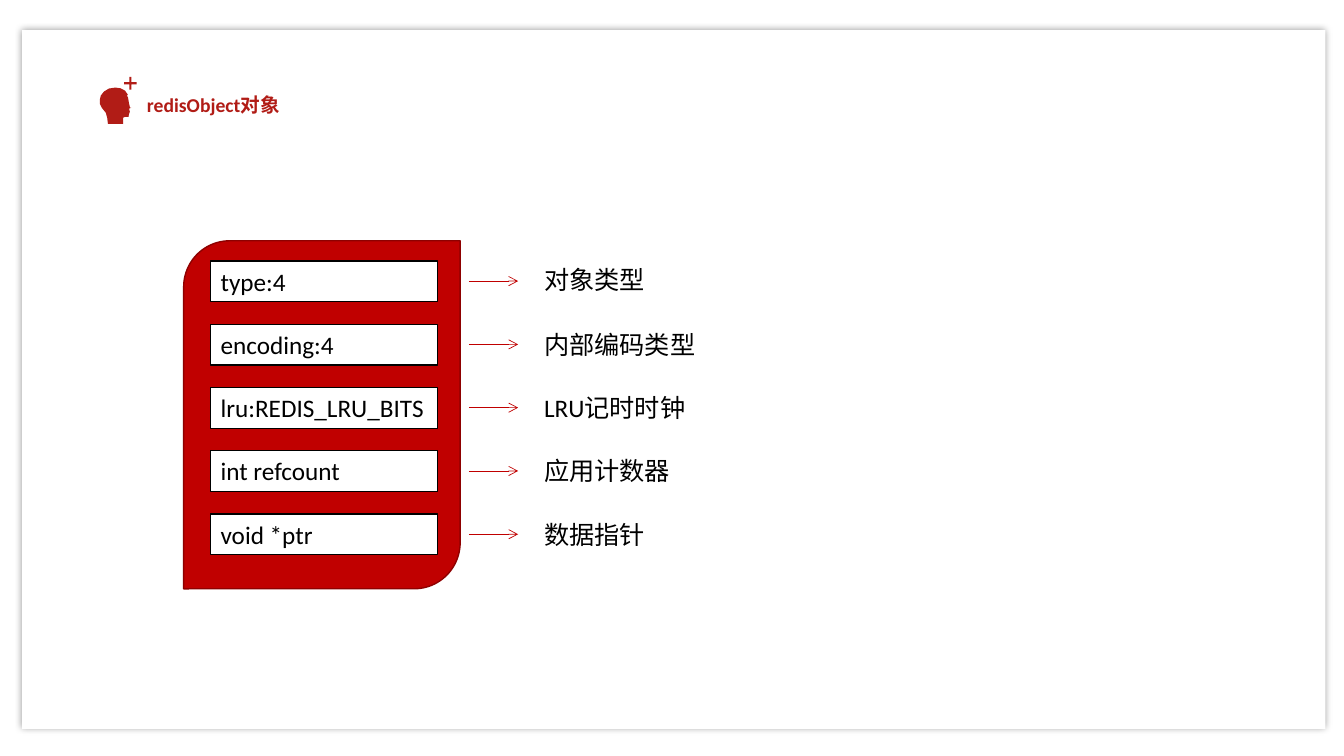
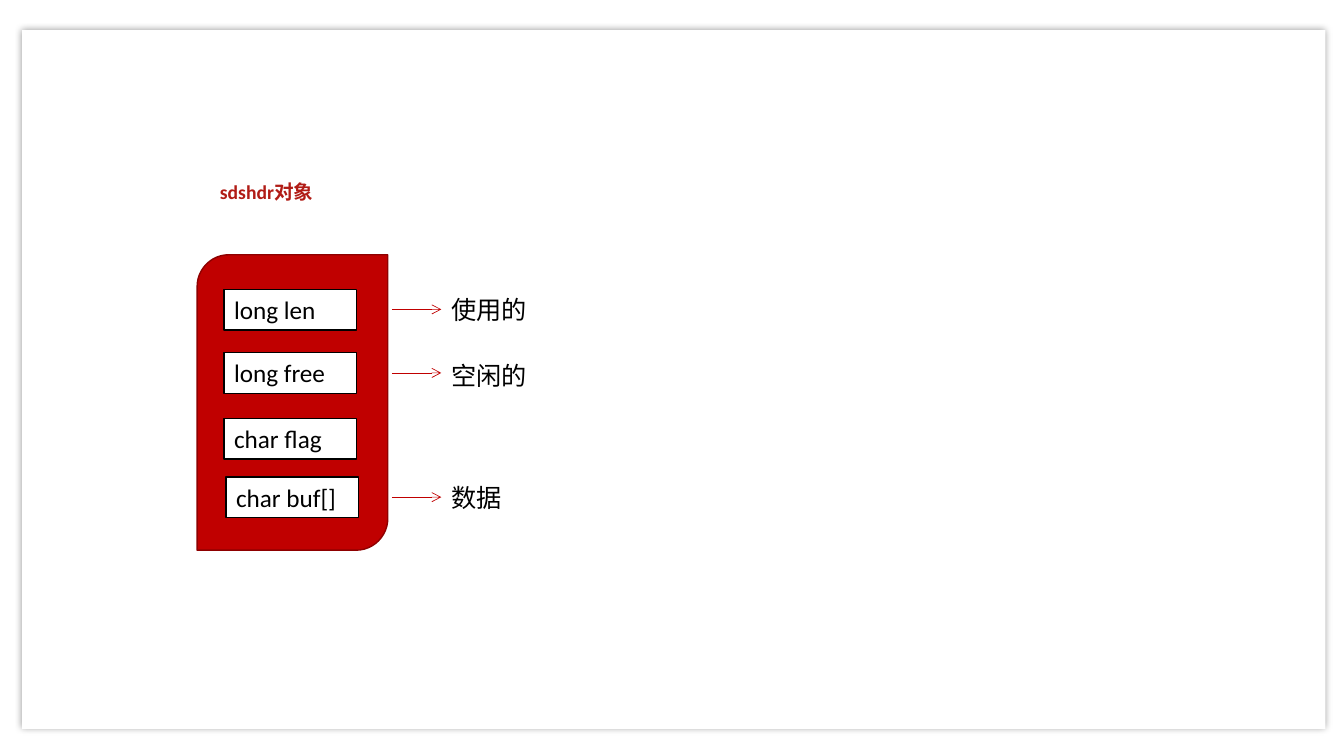
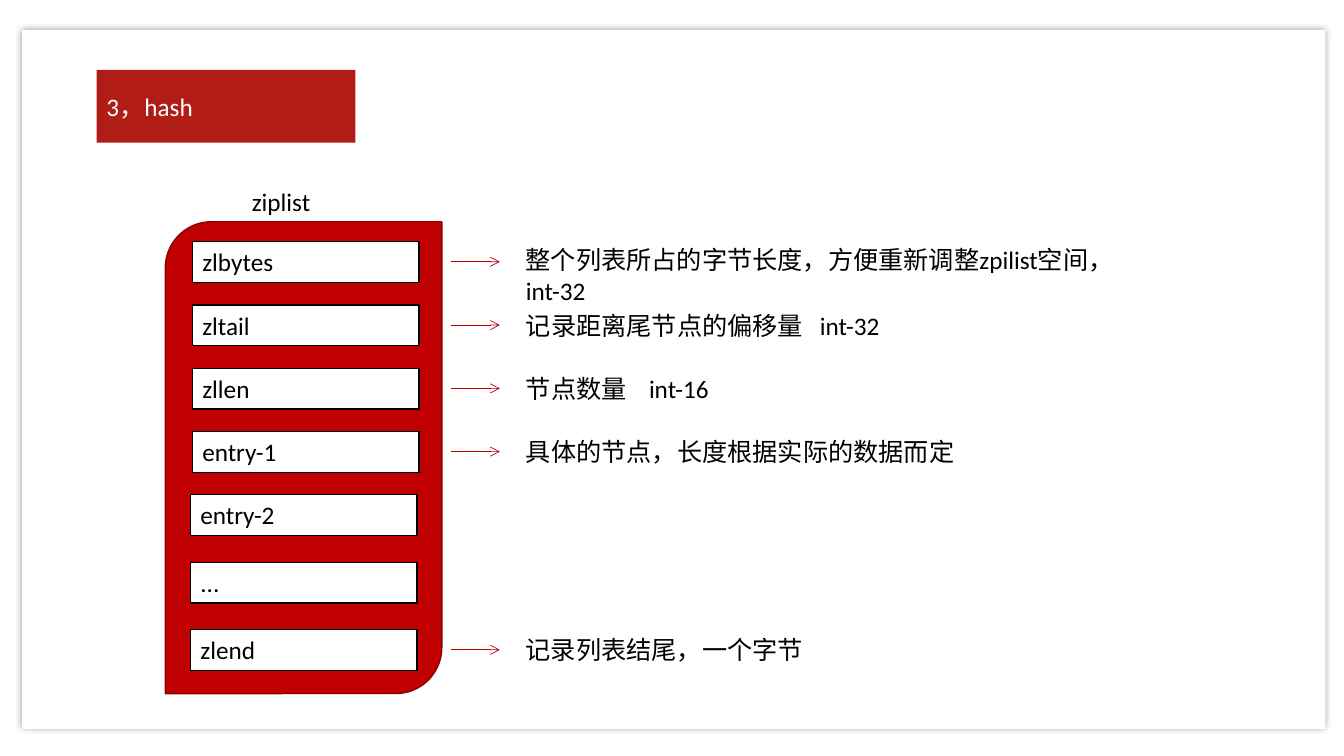
from dataclasses import dataclass
from typing import Optional

from lxml.etree import SubElement
from pptx import Presentation
from pptx.dml.color import RGBColor
from pptx.enum.shapes import MSO_CONNECTOR as Link, MSO_SHAPE as Kind
from pptx.enum.text import MSO_ANCHOR as Anchor, MSO_AUTO_SIZE as Fit, PP_ALIGN as Align
from pptx.oxml.ns import qn
from pptx.util import Pt

# Shared style
HUES = {"red": "C00000", "edge": "8E0000", "title": "B11C16",
        "ink": "000000", "paper": "FFFFFF"}
FONT = "Calibri"
ROW_H = 29.1

# Head outline in tenths of a point
HEAD = [(216, 144), (209, 115), (202, 72), (194, 58), (200, 50), (180, 22),
        (148, 5), (110, 0), (65, 7), (29, 29), (7, 58), (0, 86), (0, 115),
        (14, 144), (43, 180), (53, 216), (58, 259), (166, 259), (166, 216),
        (180, 209), (205, 209), (209, 187), (215, 173), (209, 151), (223, 144)]


@dataclass
class Note:
    text: str
    width: float
    shift: float = 0
    height: float = ROW_H
    tab: float = 0


@dataclass
class Row:
    text: str
    note: Optional[Note] = None
    dx: float = 0
    dy: float = 0


@dataclass
class Panel:
    left: float
    top: float
    width: float
    height: float
    first: float    # top of the first row
    pitch: float
    field: float    # width of each row
    gap: float      # from panel to arrow
    space: float    # from arrow to note
    rows: list[Row]


def hue(name: str) -> RGBColor:
    return RGBColor.from_string(HUES[name])


def paint(shape, fill: str, line: Optional[str] = None) -> None:
    shape.shadow.inherit = False
    shape.fill.solid()
    shape.fill.fore_color.rgb = hue(fill)
    if line:
        shape.line.color.rgb = hue(line)
        shape.line.width = Pt(1)
    else:
        shape.line.fill.background()


def block(slide, kind, left: float, top: float, width: float, height: float,
          fill: str, line: Optional[str] = None):
    shape = slide.shapes.add_shape(kind, Pt(left), Pt(top), Pt(width), Pt(height))
    paint(shape, fill, line)
    return shape


def write(shape, text: str, size: float = 18, color: str = "ink", bold: bool = False,
          wrap: bool = True, anchor=Anchor.TOP, fit=Fit.SHAPE_TO_FIT_TEXT,
          tab: float = 0) -> None:
    frame = shape.text_frame
    frame.word_wrap, frame.auto_size = wrap, fit
    frame.vertical_anchor = anchor
    para = frame.paragraphs[0]
    para.text, para.alignment = text, Align.LEFT
    if tab:
        stops = SubElement(para._p.get_or_add_pPr(), qn("a:tabLst"))
        SubElement(stops, qn("a:tab"), pos=str(Pt(tab)), algn="l")
    font = para.font
    font.name, font.size, font.bold = FONT, Pt(size), bold
    font.color.rgb = hue(color)


def label(slide, left: float, top: float, width: float, height: float,
          text: str, **style) -> None:
    box = slide.shapes.add_textbox(Pt(left), Pt(top), Pt(width), Pt(height))
    write(box, text, **style)


def title(slide, left: float, top: float, text: str) -> None:
    label(slide, left, top, 237.6, 24.2, text, size=14, color="title", bold=True)


def arrow(slide, left: float, right: float, y: float) -> None:
    line = slide.shapes.add_connector(Link.STRAIGHT, Pt(left), Pt(y), Pt(right), Pt(y))
    line.line.color.rgb = hue("red")
    line.line.width = Pt(0.5)
    SubElement(line.line._get_or_add_ln(), qn("a:tailEnd"), type="arrow")
    SubElement(line._element.spPr, qn("a:effectLst"))


def page(deck):
    """Add a slide with the shadowed card that all slides share."""
    slide = deck.slides.add_slide(deck.slide_layouts[6])
    card = block(slide, Kind.RECTANGLE, 15.8, 21.6, 931, 499, "paper")
    glow = SubElement(card._element.spPr.find(qn("a:effectLst")), qn("a:outerShdw"),
                      blurRad=str(Pt(5)), dist="0", dir="0", algn="ctr", rotWithShape="0")
    tint = SubElement(glow, qn("a:srgbClr"), val=HUES["ink"])
    SubElement(tint, qn("a:alpha"), val="40000")
    return slide


def icon(slide) -> None:
    pen = slide.shapes.build_freeform(*HEAD[0], scale=Pt(0.1))
    pen.add_line_segments(HEAD[1:], close=True)
    paint(pen.convert_to_shape(Pt(71.3), Pt(62.6)), "title")
    plus = block(slide, Kind.CROSS, 88.6, 55, 9, 9, "title")
    plus.adjustments[0] = 0.42


def draw(slide, panel: Panel) -> None:
    block(slide, Kind.ROUND_2_DIAG_RECTANGLE, panel.left, panel.top,
          panel.width, panel.height, "red", "edge")
    start = panel.left + panel.width + panel.gap
    end = start + 35.2
    for i, row in enumerate(panel.rows):
        top = panel.first + i * panel.pitch + row.dy
        cell = block(slide, Kind.RECTANGLE, panel.left + 19.3 + row.dx, top,
                     panel.field, ROW_H, "paper", "ink")
        write(cell, row.text)
        if row.note:
            note = row.note
            arrow(slide, start, end, top + 14.4)
            label(slide, end + panel.space, top + note.shift, note.width,
                  note.height, note.text, tab=note.tab)


# Contents
OBJECT = Panel(131.2, 172, 197.5, 248.6, 186.4, 45.2, 162, 6.2, 11.5, [
    Row("type:4", Note("对象类型", 97, -1.4)),
    Row("encoding:4", Note("内部编码类型", 169)),
    Row("lru:REDIS_LRU_BITS", Note("LRU记时时钟", 169)),
    Row("int refcount", Note("应用计数器", 154)),
    Row("void *ptr", Note("数据指针", 97)),
])
STRING = Panel(140.8, 182, 136.2, 211, 206.6, 44.7, 94.6, 3, 0, [
    Row("long len", Note("使用的", 97)),
    Row("long free", Note("空闲的", 87, 2), dy=0.7),
    Row("char flag", dy=2.8),
    Row("char buf[]", Note("数据", 97), dx=1.4),
])
ZIPLIST = Panel(118.1, 158.4, 197.5, 337, 172.6, 45.2, 162, 6.2, 11.5, [
    Row("zlbytes", Note("整个列表所占的字节长度，方便重新调整zpilist空间，int-32",
                        458.6, -1.4, 51)),
    Row("zltail", Note("记录距离尾节点的偏移量\tint-32", 383, tab=210)),
    Row("zllen", Note("节点数量\tint-16", 392, tab=88)),
    Row("entry-1", Note("具体的节点，长度根据实际的数据而定", 392)),
    Row("entry-2", dx=-1.4),
    Row("...", dx=-1.4, dy=3),
    Row("zlend", Note("记录列表结尾，一个字节", 249), dx=-1.4, dy=6),
])


def main() -> None:
    deck = Presentation()
    deck.slide_width, deck.slide_height = Pt(960), Pt(540)

    # redisObject
    slide = page(deck)
    title(slide, 97.9, 62.6, "redisObject对象")
    icon(slide)
    draw(slide, OBJECT)

    # sdshdr
    slide = page(deck)
    title(slide, 150, 125.3, "sdshdr对象")
    draw(slide, STRING)

    # hash
    slide = page(deck)
    draw(slide, ZIPLIST)
    band = block(slide, Kind.RECTANGLE, 69, 50, 185, 52, "title")
    write(band, "3，hash", color="paper", anchor=Anchor.MIDDLE, fit=Fit.NONE)
    label(slide, 172.8, 129.6, 56, ROW_H, "ziplist", wrap=False)

    deck.save("out.pptx")


if __name__ == "__main__":
    main()
